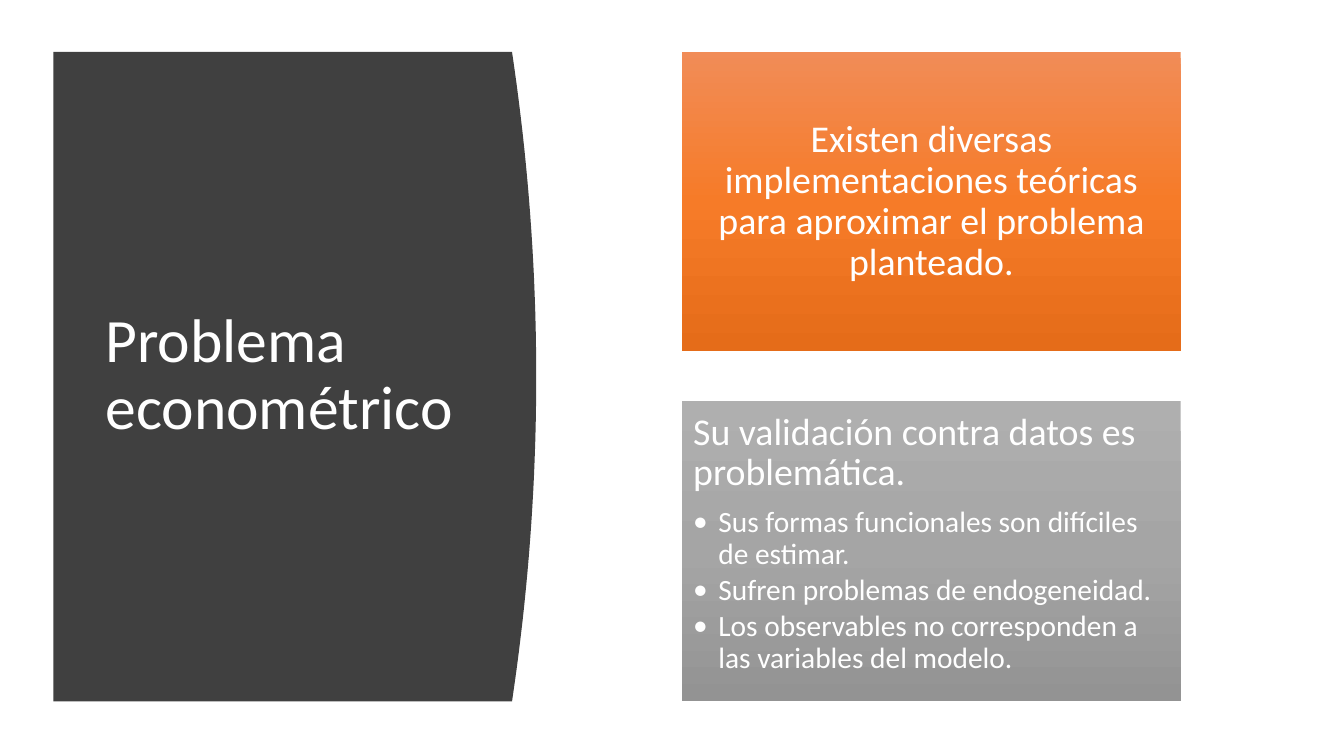
"""Build the slide on the econometric problem: a curved title panel and two cards."""
from copy import deepcopy

from lxml.etree import SubElement
from pptx import Presentation
from pptx.dml.color import RGBColor
from pptx.enum.shapes import MSO_SHAPE
from pptx.enum.text import MSO_ANCHOR, MSO_AUTO_SIZE, PP_ALIGN
from pptx.oxml.ns import qn
from pptx.util import Inches, Pt


def paint(color, code):
    color.rgb = RGBColor.from_string(code)


def style(par, size, after=0):
    par.line_spacing = 0.9
    par.space_before = Pt(0)
    par.space_after = Pt(after)
    for run in par.runs:
        run.font.name = "Calibri"
        run.font.size = Pt(size)
        paint(run.font.color, "FFFFFF")


deck = Presentation()
deck.slide_width, deck.slide_height = Inches(13.33), Inches(7.5)
col, row = deck.slide_width / 100, deck.slide_height / 100
slide = deck.slides.add_slide(deck.slide_layouts[5])
shapes = slide.shapes

left, edge, bulge = 3.97 * col, 38.1 * col, 1.8 * col
top, tall = 6.88 * row, 85.9 * row
steps = 40
curve = []
for i in range(steps + 1):
    t = i / steps
    curve.append((round(edge + bulge * 4 * t * (1 - t)), round(top + tall * t)))
form = shapes.build_freeform(round(left), round(top))
form.add_line_segments(curve + [(round(left), round(top + tall))], close=True)
panel = form.convert_to_shape()
panel.shadow.inherit = False
panel.fill.solid()
paint(panel.fill.fore_color, "404040")
panel.line.fill.background()

title = shapes.title
shapes._spTree.append(title._element)
title.left, title.top = round(7.1 * col), round(14.8 * row)
title.width, title.height = round(28.05 * col), round(69.85 * row)
frame = title.text_frame
frame.text = "Problema econométrico"
frame.word_wrap = True
frame.auto_size = MSO_AUTO_SIZE.NONE
frame.vertical_anchor = MSO_ANCHOR.MIDDLE
frame.paragraphs[0].alignment = PP_ALIGN.LEFT
style(frame.paragraphs[0], 44)

cards = [
    (["F18C57", "F67B28", "E56C19"], MSO_ANCHOR.MIDDLE, PP_ALIGN.CENTER,
     "Existen diversas implementaciones teóricas para aproximar el problema planteado.", []),
    (["AFAFAF", "A5A5A5", "939393"], MSO_ANCHOR.TOP, PP_ALIGN.LEFT,
     "Su validación contra datos es problemática.",
     ["Sus formas funcionales son difíciles de estimar.",
      "Sufren problemas de endogeneidad.",
      "Los observables no corresponden a las variables del modelo."]),
]
high, pitch = 39.6 * row, 46.2 * row
for i, (shades, anchor, align, head, points) in enumerate(cards):
    card = shapes.add_shape(MSO_SHAPE.RECTANGLE, round(50.75 * col), round(top + i * pitch),
                            round(37.1 * col), round(high))
    card.shadow.inherit = False
    card.line.fill.background()
    card.fill.gradient()
    card.fill.gradient_angle = 270
    stops = card._element.spPr.find(".//" + qn("a:gsLst"))
    stops.insert(1, deepcopy(stops[0]))
    for n, (stop, shade) in enumerate(zip(card.fill.gradient_stops, shades)):
        stop.position = n / 2
        paint(stop.color, shade)

    frame = card.text_frame
    frame.word_wrap = True
    frame.vertical_anchor = anchor
    frame.margin_left = frame.margin_right = Inches(0.11)
    frame.margin_top = frame.margin_bottom = Inches(0.11)
    frame.text = head
    frame.paragraphs[0].alignment = align
    style(frame.paragraphs[0], 27, 9.5)
    for point in points:
        par = frame.add_paragraph()
        par.text = point
        par.level = 1
        par.alignment = align
        style(par, 21, 3)
        props = par._p.get_or_add_pPr()
        props.set("marL", str(Inches(0.25)))
        props.set("indent", str(-Inches(0.25)))
        SubElement(props, qn("a:buFont")).set("typeface", "Calibri")
        SubElement(props, qn("a:buChar")).set("char", "•")

deck.save("out.pptx")
